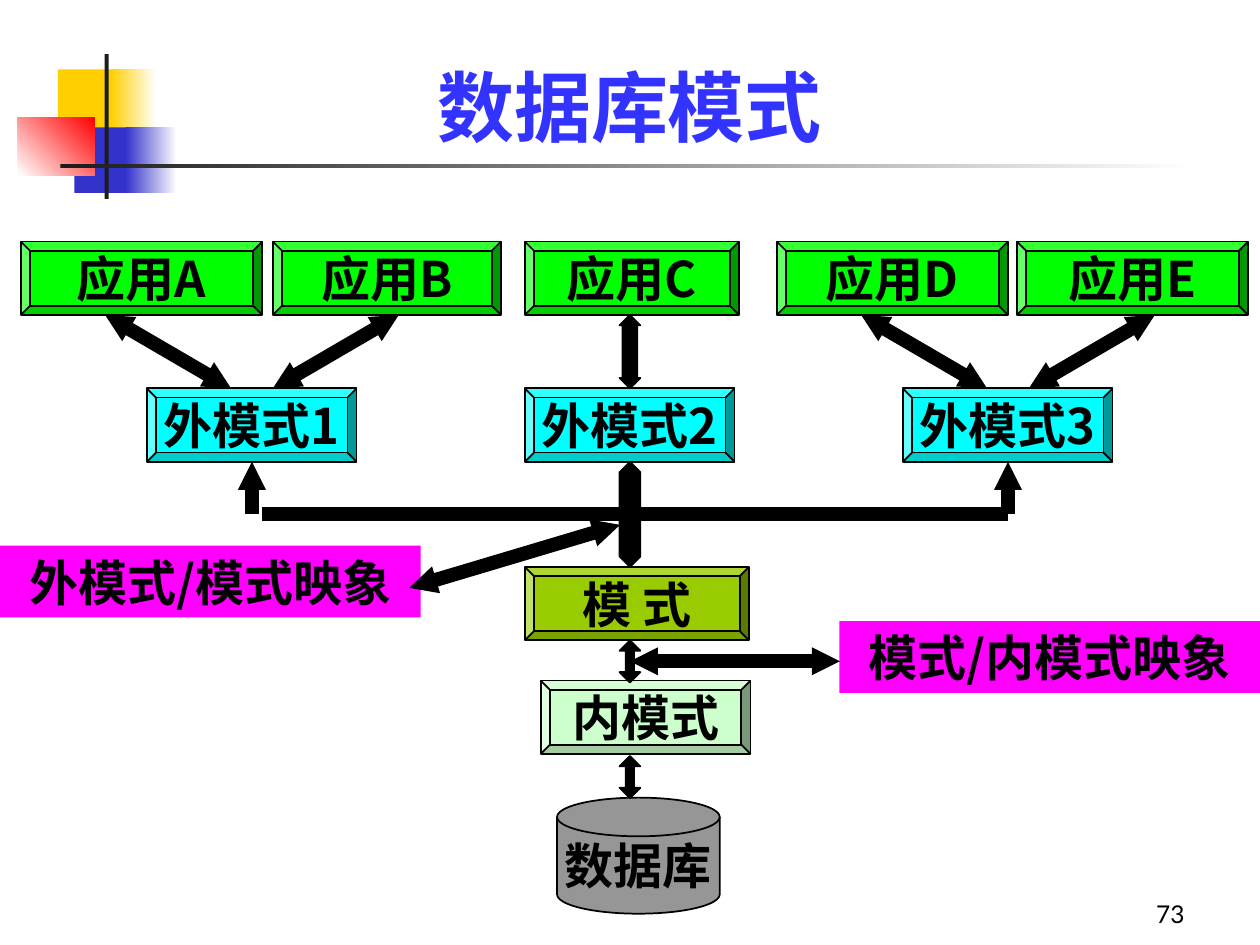
"""Build a slide showing the three-level schema structure of a database."""
from dataclasses import dataclass
from typing import Optional

from lxml import etree
from pptx import Presentation
from pptx import util as u
from pptx.dml.color import RGBColor
from pptx.enum import shapes, text
from pptx.oxml import ns

BLACK = RGBColor(0x00, 0x00, 0x00)
WHITE = RGBColor(0xFF, 0xFF, 0xFF)
CHARCOAL = RGBColor(0x1C, 0x1C, 0x1C)
YELLOW = RGBColor(0xFF, 0xCF, 0x01)
BLUE = RGBColor(0x33, 0x33, 0xCC)
RED = RGBColor(0xFF, 0x00, 0x00)
TITLE_BLUE = RGBColor(0x33, 0x33, 0xFF)
GREEN = RGBColor(0x00, 0xFF, 0x00)
CYAN = RGBColor(0x00, 0xFF, 0xFF)
OLIVE = RGBColor(0x99, 0xCC, 0x00)
MINT = RGBColor(0xCC, 0xFF, 0xCC)
GRAY = RGBColor(0x96, 0x96, 0x96)
MAGENTA = RGBColor(0xFF, 0x00, 0xFF)

CHINESE_FONT = "Noto Sans CJK SC"
NUMBER_FONT = "Lato"
KIND = shapes.MSO_SHAPE
CENTER_X = 12.7
BOX_HEIGHT = 1.48
APPLICATION_TOP = 4.87
APPLICATION_BOTTOM = 6.35
EXTERNAL_TOP = 7.83
EXTERNAL_BOTTOM = 9.31
EXTERNAL_STEP = 7.62
BUS_Y = 10.37


@dataclass(frozen=True)
class Block:
    left: float
    top: float
    width: float
    height: float
    color: RGBColor
    label: str = ""
    kind: int = KIND.RECTANGLE
    outlined: bool = False
    fade_to: Optional[RGBColor] = None
    angle: float = 0


@dataclass(frozen=True)
class Link:
    start: tuple[float, float]
    end: tuple[float, float]
    ends: tuple[str, ...] = ("headEnd", "tailEnd")


def bevel(left: float, top: float, width: float, color: RGBColor, label: str) -> Block:
    return Block(left, top, width, BOX_HEIGHT, color, label, KIND.BEVEL, True)


ORNAMENTS = [
    Block(1.17, 1.4, 1.22, 1.32, YELLOW),
    Block(2.24, 1.4, 0.91, 1.32, YELLOW, fade_to=WHITE),
    Block(1.5, 2.57, 1.17, 1.32, BLUE),
    Block(2.54, 2.57, 1.02, 1.32, BLUE, fade_to=WHITE),
    Block(0.36, 2.36, 1.55, 1.17, WHITE, fade_to=RED, angle=45),
    Block(2.11, 1.09, 0.08, 2.92, CHARCOAL),
    Block(1.22, 3.3, 22.86, 0.08, CHARCOAL, fade_to=WHITE),
]
APPLICATIONS = [
    bevel(left, APPLICATION_TOP, width, GREEN, f"应用{letter}")
    for letter, left, width in zip(
        "ABCDE", (0.42, 5.5, 10.58, 15.66, 20.5), (4.87, 4.6, 4.32, 4.66, 4.66))
]
EXTERNAL_SCHEMAS = [
    bevel(2.96 + EXTERNAL_STEP * index, EXTERNAL_TOP, 4.23, CYAN, f"外模式{index + 1}")
    for index in range(3)
]
CORE = [
    Block(11.23, 16.08, 3.28, 2.34, GRAY, "数据库", KIND.FLOWCHART_MAGNETIC_DISK, True),
    bevel(10.9, 13.72, 4.23, MINT, "内模式"),
    bevel(10.58, 11.43, 4.52, OLIVE, "模 式"),
]
MAPPINGS = [
    Block(0, 11, 8.48, 1.45, MAGENTA, "外模式/模式映象"),
    Block(16.92, 12.52, 8.48, 1.45, MAGENTA, "模式/内模式映象"),
]
VERTICAL_ARROWS = [
    (APPLICATION_BOTTOM, 1.48), (EXTERNAL_BOTTOM, 2.12), (12.91, 0.85), (15.24, 0.85)]
OUTER_CENTERS = (CENTER_X - EXTERNAL_STEP, CENTER_X + EXTERNAL_STEP)
LINKS = [
    Link((12.9, BUS_Y), (20.32, BUS_Y), ()),
    Link((5.28, BUS_Y), (CENTER_X, BUS_Y), ()),
    *(Link((x, BUS_Y), (x, EXTERNAL_BOTTOM), ("tailEnd",)) for x in OUTER_CENTERS),
    *(Link((x + side * 0.42, EXTERNAL_TOP), (x + side * 2.96, APPLICATION_BOTTOM))
      for x in OUTER_CENTERS for side in (-1, 1)),
]
MAPPING_LINKS = [
    Link((8.25, 11.85), (12.5, 10.58)),
    Link((CENTER_X, 13.33), (16.93, 13.33)),
]


def write(shape, content: str, *, size: float = 28, font_name: str = CHINESE_FONT,
          color: RGBColor = BLACK, bold: bool = True, wrap: bool = False,
          align=text.PP_ALIGN.CENTER, anchor=text.MSO_ANCHOR.MIDDLE) -> None:
    frame = shape.text_frame
    frame.word_wrap = wrap
    frame.vertical_anchor = anchor
    paragraph = frame.paragraphs[0]
    paragraph.alignment = align
    run = paragraph.add_run()
    run.text = content
    run.font.size = u.Pt(size)
    run.font.bold = bold
    run.font.color.rgb = color
    run.font.name = font_name
    properties = run._r.get_or_add_rPr()
    etree.SubElement(properties, ns.qn("a:ea"), typeface=font_name)


def draw_block(slide, block: Block):
    shape = slide.shapes.add_shape(
        block.kind, u.Cm(block.left), u.Cm(block.top), u.Cm(block.width), u.Cm(block.height))
    shape.shadow.inherit = False
    if block.fade_to is None:
        shape.fill.solid()
        shape.fill.fore_color.rgb = block.color
    else:
        shape.fill.gradient()
        shape.fill.gradient_angle = block.angle
        for stop, color, position in zip(
                shape.fill.gradient_stops, (block.color, block.fade_to), (0, 1)):
            stop.color.rgb = color
            stop.position = position
    if block.outlined:
        shape.line.color.rgb = BLACK
        shape.line.width = u.Pt(1)
    else:
        shape.line.fill.background()
    if block.label:
        write(shape, block.label)
    return shape


def draw_vertical_arrow(slide, top: float, height: float) -> None:
    width = 0.42
    arrow = draw_block(slide, Block(
        CENTER_X - width / 2, top, width, height, BLACK, kind=KIND.UP_DOWN_ARROW, outlined=True))
    arrow.adjustments[0] = 0.5
    arrow.adjustments[1] = height / width / 5


def draw_link(slide, link: Link) -> None:
    connector = slide.shapes.add_connector(
        shapes.MSO_CONNECTOR.STRAIGHT, *(u.Cm(value) for value in link.start + link.end))
    connector.line.color.rgb = BLACK
    connector.line.width = u.Pt(8)
    line = connector.line._get_or_add_ln()
    for end in link.ends:
        etree.SubElement(line, ns.qn(f"a:{end}"), type="triangle", w="sm", len="sm")
    etree.SubElement(connector._element.spPr, ns.qn("a:effectLst"))


def add_text_box(slide, left: float, top: float, width: float, height: float,
                 content: str, **style) -> None:
    box = slide.shapes.add_textbox(u.Cm(left), u.Cm(top), u.Cm(width), u.Cm(height))
    write(box, content, wrap=True, anchor=text.MSO_ANCHOR.BOTTOM, **style)


def main() -> None:
    presentation = Presentation()
    presentation.slide_width = u.Cm(25.4)
    presentation.slide_height = u.Cm(19.05)
    slide = presentation.slides.add_slide(presentation.slide_layouts[6])
    for block in ORNAMENTS:
        draw_block(slide, block)
    add_text_box(slide, 1.9, 0.64, 21.59, 2.54, "数据库模式", size=44, color=TITLE_BLUE)
    for block in CORE + EXTERNAL_SCHEMAS + APPLICATIONS:
        draw_block(slide, block)
    for top, height in VERTICAL_ARROWS:
        draw_vertical_arrow(slide, top, height)
    for link in LINKS:
        draw_link(slide, link)
    for block in MAPPINGS:
        draw_block(slide, block)
    for link in MAPPING_LINKS:
        draw_link(slide, link)
    add_text_box(slide, 18.84, 17.57, 5.29, 1.27, "73", size=14, font_name=NUMBER_FONT,
                 bold=False, align=text.PP_ALIGN.RIGHT)
    presentation.save("out.pptx")


if __name__ == "__main__":
    main()
